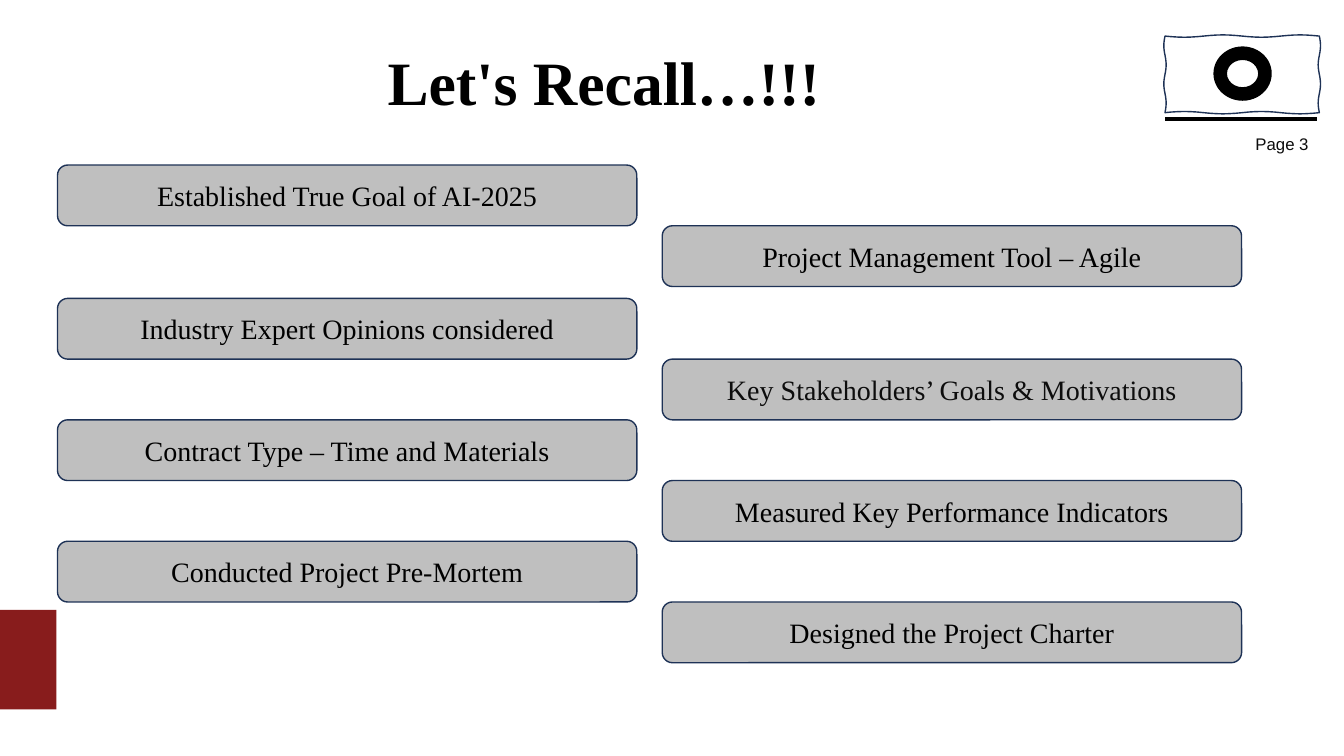
from dataclasses import dataclass
from math import pi, sin

from lxml.etree import SubElement
from pptx import Presentation
from pptx.dml.color import RGBColor
from pptx.enum.shapes import MSO_CONNECTOR, MSO_SHAPE
from pptx.enum.text import MSO_ANCHOR, PP_ALIGN
from pptx.oxml.ns import qn
from pptx.shapes.autoshape import Shape
from pptx.slide import Slide
from pptx.text.text import TextFrame
from pptx.util import Cm, Pt


@dataclass(frozen=True)
class Theme:
    black: RGBColor = RGBColor(0x00, 0x00, 0x00)
    soft_black: RGBColor = RGBColor(0x0D, 0x0D, 0x0D)
    white: RGBColor = RGBColor(0xFF, 0xFF, 0xFF)
    grey: RGBColor = RGBColor(0xBF, 0xBF, 0xBF)
    navy: RGBColor = RGBColor(0x1E, 0x32, 0x56)
    maroon: RGBColor = RGBColor(0x88, 0x1C, 0x1C)
    serif: str = "Times New Roman"
    sans: str = "Arial"
    title_size: int = 44
    topic_size: int = 20
    page_size: int = 12
    outline: float = 1
    rule: float = 2.5


THEME = Theme()


@dataclass(frozen=True)
class Area:
    """A rectangle in centimetres."""
    left: float
    top: float
    width: float
    height: float

    def lengths(self) -> tuple[Cm, Cm, Cm, Cm]:
        return Cm(self.left), Cm(self.top), Cm(self.width), Cm(self.height)


@dataclass(frozen=True)
class Topic:
    text: str
    column: int
    row: int
    color: RGBColor = THEME.black


TOPICS = [
    Topic("Established True Goal of AI-2025", 0, 0),
    Topic("Project Management Tool – Agile", 1, 0),
    Topic("Industry Expert Opinions considered", 0, 1),
    Topic("Key Stakeholders’ Goals & Motivations", 1, 1, THEME.soft_black),
    Topic("Contract Type – Time and Materials", 0, 2),
    Topic("Measured Key Performance Indicators", 1, 2),
    Topic("Conducted Project Pre-Mortem", 0, 3),
    Topic("Designed the Project Charter", 1, 3),
]
TOPIC_LEFT, TOPIC_TOP = 1.45, 4.16
TOPIC_WIDTH, TOPIC_HEIGHT = 14.6, 1.53
COLUMN_STEP = 15.24
ROW_STEP = 2 * TOPIC_HEIGHT
FIRST_ROW_EXTRA = 0.3

TITLE_AREA = Area(8.74, 1.28, 20.3, 1.75)
PAGE_AREA = Area(29.39, 3.12, 3.84, 1.02)
FRAME_AREA = Area(29.36, 0.91, 3.89, 1.93)
EMBLEM_AREA = Area(30.58, 1.17, 1.47, 1.37)
ACCENT_AREA = Area(0, 15.37, 1.42, 2.51)


def write(frame: TextFrame, text: str, font: str, size: int, color: RGBColor,
          align: PP_ALIGN, bold: bool = False) -> None:
    frame.text = text
    frame.word_wrap = True
    frame.vertical_anchor = MSO_ANCHOR.MIDDLE
    para = frame.paragraphs[0]
    para.alignment = align
    span = para.runs[0].font
    span.name, span.size, span.bold = font, Pt(size), bold
    span.color.rgb = color


def paint(shape: Shape, fill: RGBColor, line: RGBColor | None = None) -> None:
    shape.shadow.inherit = False
    shape.fill.solid()
    shape.fill.fore_color.rgb = fill
    if line is None:
        shape.line.fill.background()
    else:
        shape.line.color.rgb = line
        shape.line.width = Pt(THEME.outline)


def add_title(slide: Slide) -> None:
    title = slide.shapes.title
    title.left, title.top, title.width, title.height = TITLE_AREA.lengths()
    write(title.text_frame, "Let's Recall…!!!", THEME.serif, THEME.title_size,
          THEME.black, PP_ALIGN.LEFT, bold=True)
    title.text_frame.margin_left = Cm(1.03)
    title.text_frame.paragraphs[0].line_spacing = 0.9


def add_topic(slide: Slide, topic: Topic) -> None:
    """Place a topic; the right column sits one box height lower."""
    top = TOPIC_TOP + topic.row * ROW_STEP + topic.column * TOPIC_HEIGHT
    if topic.row > 0:
        top += FIRST_ROW_EXTRA
    area = Area(TOPIC_LEFT + topic.column * COLUMN_STEP, top,
                TOPIC_WIDTH, TOPIC_HEIGHT)
    box = slide.shapes.add_shape(MSO_SHAPE.ROUNDED_RECTANGLE, *area.lengths())
    paint(box, THEME.grey, THEME.navy)
    write(box.text_frame, topic.text, THEME.serif, THEME.topic_size,
          topic.color, PP_ALIGN.CENTER)


def add_wavy_frame(slide: Slide, area: Area) -> None:
    """Draw a hand-drawn looking rectangle with gently waving sides."""
    steps, wave = 24, 0.03
    right, bottom = area.left + area.width, area.top + area.height
    corners = [(area.left, area.top), (right, area.top),
               (right, bottom), (area.left, bottom)]
    points = []
    for (x1, y1), (x2, y2) in zip(corners, corners[1:] + corners[:1]):
        for step in range(steps):
            part = step / steps
            shift = wave * sin(4 * pi * part)
            x = x1 + (x2 - x1) * part + (shift if x1 == x2 else 0)
            y = y1 + (y2 - y1) * part + (shift if y1 == y2 else 0)
            points.append((Cm(x), Cm(y)))
    builder = slide.shapes.build_freeform(*points[0])
    builder.add_line_segments(points[1:], close=True)
    paint(builder.convert_to_shape(), THEME.white, THEME.navy)


def add_header_rule(slide: Slide) -> None:
    rule = slide.shapes.add_connector(MSO_CONNECTOR.STRAIGHT, Cm(29.36), Cm(3),
                                      Cm(33.2), Cm(3))
    rule.line.color.rgb = THEME.black
    rule.line.width = Pt(THEME.rule)
    SubElement(rule.element.spPr, qn("a:effectLst"))


def main() -> None:
    deck = Presentation()
    deck.slide_width, deck.slide_height = Cm(33.87), Cm(19.05)
    slide = deck.slides.add_slide(deck.slide_layouts[5])

    accent = slide.shapes.add_shape(MSO_SHAPE.RECTANGLE, *ACCENT_AREA.lengths())
    paint(accent, THEME.maroon)
    add_header_rule(slide)
    add_title(slide)
    page = slide.shapes.add_textbox(*PAGE_AREA.lengths())
    write(page.text_frame, "Page 3", THEME.sans, THEME.page_size,
          THEME.soft_black, PP_ALIGN.RIGHT)
    add_wavy_frame(slide, FRAME_AREA)
    for topic in TOPICS:
        add_topic(slide, topic)
    emblem = slide.shapes.add_shape(MSO_SHAPE.DONUT, *EMBLEM_AREA.lengths())
    paint(emblem, THEME.black)

    deck.save("out.pptx")


if __name__ == "__main__":
    main()
